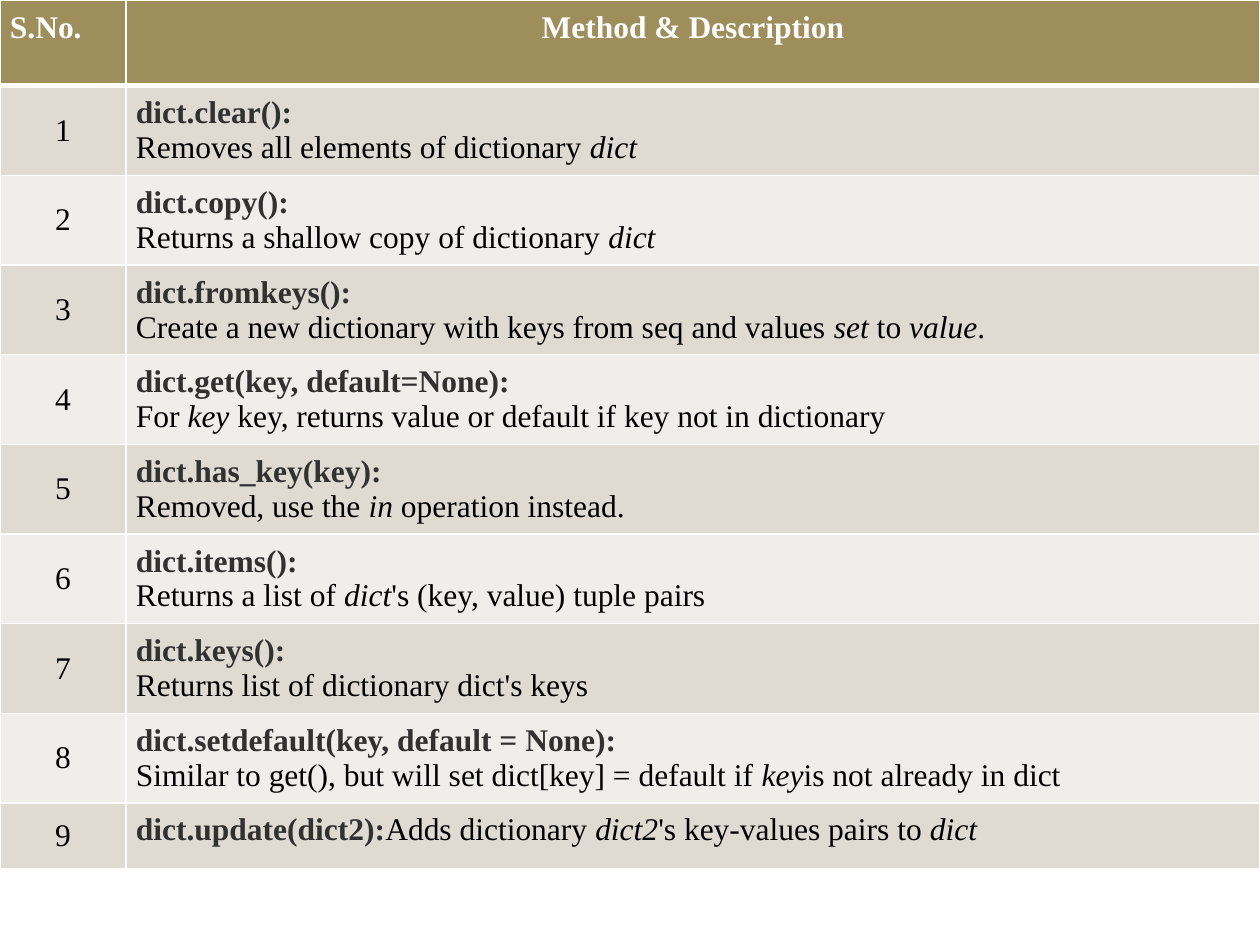
from dataclasses import dataclass

from lxml.etree import SubElement
from pptx import Presentation
from pptx.dml.color import RGBColor as Rgb
from pptx.enum.text import MSO_ANCHOR as Anchor, PP_ALIGN as Align
from pptx.oxml.ns import qn
from pptx.util import Cm, Pt


@dataclass(frozen=True)
class Theme:
    font: str = "Times New Roman"
    size: int = 18
    header_fill: str = "9E8E5C"
    band_fills: tuple = ("DFDBD2", "F0EEEA")
    header_text: str = "FFFFFF"
    method_text: str = "313131"
    body_text: str = "000000"
    border: str = "FFFFFF"
    thin: int = 1
    thick: int = 3
    inset: float = 0.2


class SlideBuilder:
    def __init__(self, slide, theme):
        self.slide = slide
        self.theme = theme

    def grid(self, widths, heights, frame_height):
        frame = self.slide.shapes.add_table(
            len(heights), len(widths), Cm(0), Cm(0), Cm(sum(widths)), Cm(frame_height))
        for column, width in zip(frame.table.columns, widths):
            column.width = Cm(width)
        for row, height in zip(frame.table.rows, heights):
            row.height = Cm(height)
        frame.height = Cm(frame_height)
        return frame.table

    def cell(self, cell, fill, anchor=Anchor.TOP, bottom=None):
        theme = self.theme
        cell.margin_left = cell.margin_right = Cm(theme.inset)
        cell.margin_top = cell.margin_bottom = Cm(theme.inset)
        cell.vertical_anchor = anchor
        properties = cell._tc.get_or_add_tcPr()
        for side in "LRTB":
            width = bottom if side == "B" and bottom else theme.thin
            line = SubElement(properties, qn(f"a:ln{side}"), w=str(Pt(width)))
            paint = SubElement(line, qn("a:solidFill"))
            SubElement(paint, qn("a:srgbClr"), val=theme.border)
        cell.fill.solid()
        cell.fill.fore_color.rgb = Rgb.from_string(fill)

    def run(self, paragraph, text, color, bold=False, italic=False):
        run = paragraph.add_run()
        run.text = text
        run.font.name = self.theme.font
        run.font.size = Pt(self.theme.size)
        run.font.color.rgb = Rgb.from_string(color)
        run.font.bold = bold
        run.font.italic = italic

    def description(self, paragraph, marked_text):
        for index, part in enumerate(marked_text.split("*")):
            if part:
                self.run(paragraph, part, self.theme.body_text, italic=index % 2 == 1)

    def header(self, cell, title, align):
        self.cell(cell, self.theme.header_fill, bottom=self.theme.thick)
        paragraph = cell.text_frame.paragraphs[0]
        paragraph.alignment = align
        self.run(paragraph, title, self.theme.header_text, bold=True)

    def method_row(self, number_cell, method_cell, number, method, summary, one_line):
        fill = self.theme.band_fills[(number - 1) % 2]
        self.cell(number_cell, fill, Anchor.MIDDLE)
        number_line = number_cell.text_frame.paragraphs[0]
        number_line.alignment = Align.CENTER
        self.run(number_line, str(number), self.theme.body_text)

        self.cell(method_cell, fill)
        method_line = method_cell.text_frame.paragraphs[0]
        method_line.alignment = Align.JUSTIFY
        self.run(method_line, method, self.theme.method_text, bold=True)
        summary_line = method_line if one_line else method_cell.text_frame.add_paragraph()
        summary_line.alignment = Align.JUSTIFY
        self.description(summary_line, summary)


METHODS = [
    ("dict.clear():", "Removes all elements of dictionary *dict*"),
    ("dict.copy():", "Returns a shallow copy of dictionary *dict*"),
    ("dict.fromkeys():",
     "Create a new dictionary with keys from seq and values *set* to *value*."),
    ("dict.get(key, default=None):",
     "For *key* key, returns value or default if key not in dictionary"),
    ("dict.has_key(key):", "Removed, use the *in* operation instead."),
    ("dict.items():", "Returns a list of *dict*'s (key, value) tuple pairs"),
    ("dict.keys():", "Returns list of dictionary dict's keys"),
    ("dict.setdefault(key, default = None):",
     "Similar to get(), but will set dict[key] = default if *key*is not already in dict"),
    ("dict.update(dict2):", "Adds dictionary *dict2*'s key-values pairs to *dict*"),
]


def main():
    deck = Presentation()
    deck.slide_width, deck.slide_height = Cm(25.4), Cm(19.05)
    builder = SlideBuilder(deck.slides.add_slide(deck.slide_layouts[6]), Theme())

    heights = [1.73] * len(METHODS) + [1.32]
    table = builder.grid([2.54, 22.86], heights, 18.62)
    builder.header(table.cell(0, 0), "S.No.", Align.LEFT)
    builder.header(table.cell(0, 1), "Method & Description", Align.CENTER)
    for number, (method, summary) in enumerate(METHODS, start=1):
        builder.method_row(table.cell(number, 0), table.cell(number, 1),
                           number, method, summary, number == len(METHODS))

    deck.save("out.pptx")


if __name__ == "__main__":
    main()
